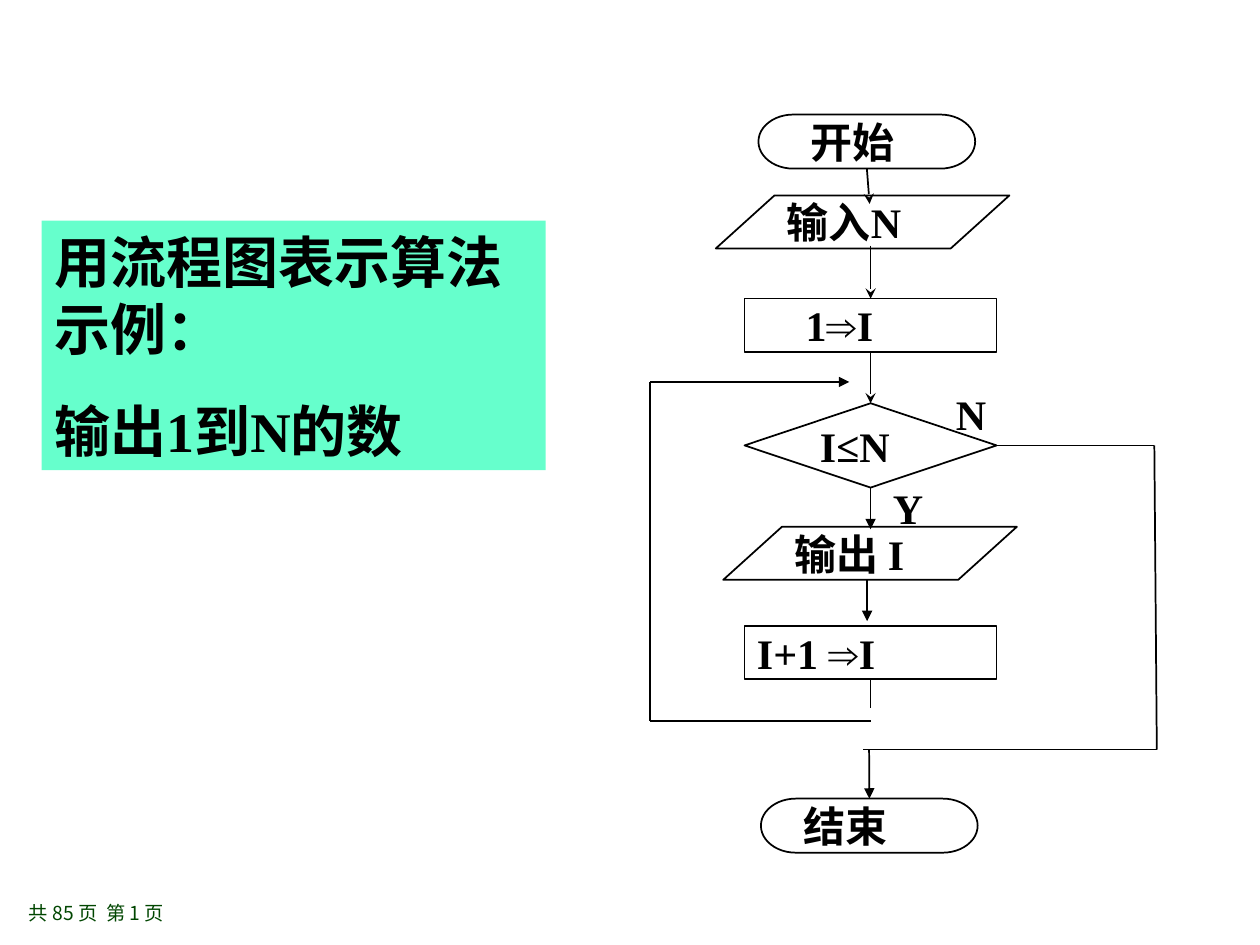
import pptx
import pptx.util
import pptx.dml.color
import pptx.enum.shapes
import pptx.enum.text
import pptx.oxml
import pptx.oxml.ns

Cm, Pt = pptx.util.Cm, pptx.util.Pt
SHAPE = pptx.enum.shapes.MSO_SHAPE
ANCHOR = pptx.enum.text.MSO_ANCHOR
COLORS = {"ink": "000000", "panel": "66FFCC", "footer": "004600"}
TOP, LEFT, BOTTOM, RIGHT = range(4)


def rgb(name):
    return pptx.dml.color.RGBColor.from_string(COLORS[name])


class Chart:
    def __init__(self, slide):
        self.s = slide
        self.font = {"name": "Times New Roman", "size": Pt(24), "bold": True}

    def add_text(self, sp, paragraphs, before=0, color="ink", frame=None, **font):
        tf = sp.text_frame
        fmt = {"margin_left": Cm(0.25), "margin_right": Cm(0.25),
               "margin_top": Cm(0.13), "margin_bottom": Cm(0.13),
               "word_wrap": True, "vertical_anchor": ANCHOR.TOP}
        for key, value in {**fmt, **(frame or {})}.items():
            setattr(tf, key, value)
        for i, text in enumerate(paragraphs):
            p = tf.add_paragraph() if i else tf.paragraphs[0]
            p.alignment = pptx.enum.text.PP_ALIGN.LEFT
            p.space_before = Pt(before)
            for part in filter(None, text.partition("⇒")):
                r = p.add_run()
                r.text = part
                for key, value in {**self.font, **font}.items():
                    setattr(r.font, key, value)
                if part == "⇒":
                    r.font.name = "Arial"
                r.font.color.rgb = rgb(color)

    def node(self, kind, box, text, indent=0, before=0):
        sp = self.s.shapes.add_shape(kind, *map(Cm, box))
        sp.shadow.inherit = False
        sp.fill.background()
        sp.line.color.rgb = rgb("ink")
        sp.line.width = Pt(1)
        frame = {"margin_left": Cm(0.25 + indent), "word_wrap": False,
                 "vertical_anchor": ANCHOR.MIDDLE}
        self.add_text(sp, [text], before, frame=frame)
        return sp

    def panel(self, box, paragraphs, **style):
        sp = self.s.shapes.add_shape(SHAPE.RECTANGLE, *map(Cm, box))
        sp.shadow.inherit = False
        sp.fill.solid()
        sp.fill.fore_color.rgb = rgb("panel")
        sp.line.fill.background()
        self.add_text(sp, paragraphs, **style)

    def label(self, box, text, **style):
        sp = self.s.shapes.add_textbox(*map(Cm, box))
        self.add_text(sp, [text], **style)

    def line(self, start, end, head=None, begin=None, finish=None):
        c = self.s.shapes.add_connector(
            pptx.enum.shapes.MSO_CONNECTOR.STRAIGHT, *map(Cm, start + end))
        c.line.color.rgb = rgb("ink")
        c.line.width = Pt(1)
        if begin:
            c.begin_connect(*begin)
        if finish:
            c.end_connect(*finish)
        ns = pptx.oxml.ns.nsdecls("a")
        spPr = c._element.spPr
        if head:
            spPr.get_or_add_ln().append(
                pptx.oxml.parse_xml(f'<a:tailEnd {ns} type="{head}"/>'))
        spPr.append(pptx.oxml.parse_xml(f"<a:effectLst {ns}/>"))


def main():
    prs = pptx.Presentation()
    prs.slide_width, prs.slide_height = Cm(25.4), Cm(19.05)
    chart = Chart(prs.slides.add_slide(prs.slide_layouts[6]))

    chart.label((0.33, 17.93, 6.78, 0.94), "共 85 页  第 1 页", color="footer",
                frame={"vertical_anchor": ANCHOR.MIDDLE},
                name="Noto Sans CJK SC", size=Pt(11), bold=False)
    chart.panel((0.84, 4.45, 10.16, 5.03),
                ["用流程图表示算法示例：", "输出1到N的数"], before=20, size=Pt(32))

    mid, loop_x, exit_x = 17.55, 13.11, 23.27
    loop_top, loop_bottom, exit_y = 7.7, 14.53, 15.11
    start = chart.node(SHAPE.FLOWCHART_TERMINATOR, (15.29, 2.31, 4.37, 1.09),
                       "开始", 0.6, 6)
    chart.node(SHAPE.FLOWCHART_DATA, (14.43, 3.94, 5.92, 1.07), "输入N")
    init = chart.node(SHAPE.FLOWCHART_PROCESS, (15.01, 6.02, 5.08, 1.07),
                      "1⇒I", 0.98)
    test = chart.node(SHAPE.FLOWCHART_DECISION, (15.01, 8.13, 5.08, 1.7), "I≤N")
    chart.node(SHAPE.FLOWCHART_DATA, (14.58, 10.62, 5.92, 1.07), "输出 I")
    step = chart.node(SHAPE.FLOWCHART_PROCESS, (15.01, 12.62, 5.08, 1.07), "I+1 ⇒I")
    end = chart.node(SHAPE.FLOWCHART_TERMINATOR, (15.34, 16.1, 4.37, 1.09),
                     "结束", 0.4)
    chart.label((17.75, 9.6, 1.7, 1.27), "Y", before=15)
    chart.label((19.02, 7.7, 1.7, 1.27), "N", before=15)

    chart.line((17.48, 3.4), (17.53, 4.11), "stealth", begin=(start, BOTTOM))
    chart.line((mid, 4.95), (mid, 6.02), "stealth", finish=(init, TOP))
    chart.line((mid, 7.09), (mid, 8.13), "stealth", (init, BOTTOM), (test, TOP))
    chart.line((mid, 9.83), (mid, 10.67), "triangle", begin=(test, BOTTOM))
    chart.line((17.48, 11.68), (17.48, 12.52), "triangle")
    chart.line((mid, 13.69), (mid, 14.27), begin=(step, BOTTOM))

    chart.line((loop_x, loop_bottom), (mid, loop_bottom))
    chart.line((loop_x, loop_bottom), (loop_x, loop_top))
    chart.line((loop_x, loop_top), (17.12, loop_top), "triangle")

    chart.line((exit_x, 8.98), (20.09, 8.98), finish=(test, RIGHT))
    chart.line((exit_x, 8.98), (23.32, exit_y))
    chart.line((23.32, exit_y), (17.4, exit_y))
    chart.line((17.52, exit_y), (17.52, 16.1), "triangle", finish=(end, TOP))

    prs.save("out.pptx")


if __name__ == "__main__":
    main()
